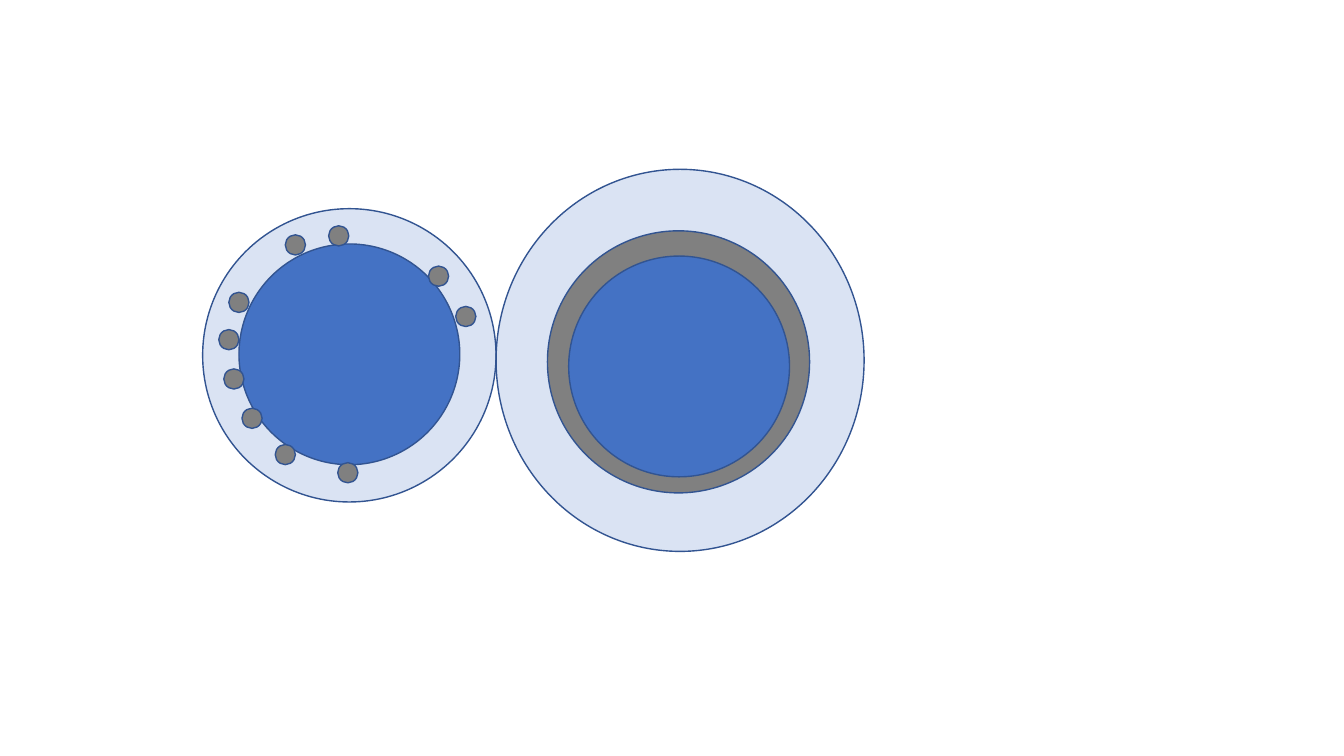
from pptx import Presentation
from pptx.dml.color import RGBColor
from pptx.enum.shapes import MSO_SHAPE as Shape
from pptx.util import Inches, Pt

PALE = RGBColor(0xDA, 0xE3, 0xF3)
BLUE = RGBColor(0x44, 0x72, 0xC4)
GREY = RGBColor(0x80, 0x80, 0x80)
OUTLINE = RGBColor(0x32, 0x54, 0x91)

CORE = 2.19
PARTICLE = 0.2

deck = Presentation()
deck.slide_width, deck.slide_height = Inches(13.33), Inches(7.5)
slide = deck.slides.add_slide(deck.slide_layouts[6])


def add_ellipse(left, top, width, height, colour):
    ellipse = slide.shapes.add_shape(
        Shape.OVAL, Inches(left), Inches(top), Inches(width), Inches(height))
    ellipse.shadow.inherit = False
    ellipse.fill.solid()
    ellipse.fill.fore_color.rgb = colour
    ellipse.line.color.rgb = OUTLINE
    ellipse.line.width = Pt(1)


# Outer shells, touching side by side
add_ellipse(2.01, 2.07, 2.91, 2.91, PALE)
add_ellipse(4.92, 1.68, 3.65, 3.79, PALE)

# Continuous grey layer of the right-hand body
add_ellipse(5.43, 2.29, 2.6, 2.6, GREY)

# Equal cores
for left, top in [(2.37, 2.42), (5.64, 2.54)]:
    add_ellipse(left, top, CORE, CORE, BLUE)

# Separate particles scattered around the left-hand core
particles = [
    (4.25, 2.64), (4.52, 3.04), (2.83, 2.33), (2.27, 2.9), (3.26, 2.24),
    (2.22, 3.66), (2.17, 3.27), (2.4, 4.05), (2.73, 4.41), (3.35, 4.59),
]
for left, top in particles:
    add_ellipse(left, top, PARTICLE, PARTICLE, GREY)

deck.save("out.pptx")
